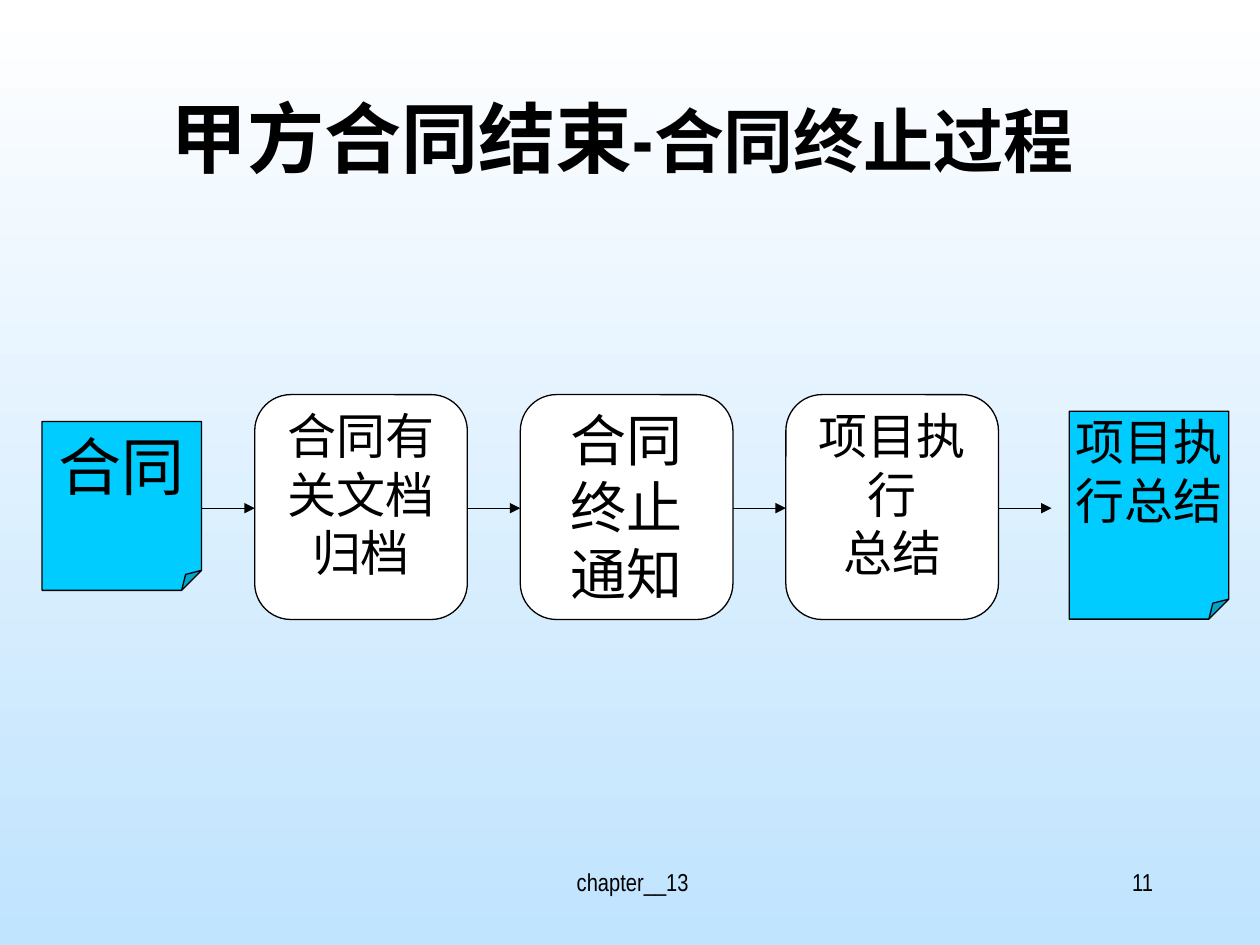
from lxml.etree import SubElement
from pptx import Presentation
from pptx.dml.color import RGBColor
from pptx.enum.shapes import MSO_CONNECTOR, MSO_SHAPE
from pptx.enum.text import MSO_ANCHOR, MSO_AUTO_SIZE, PP_ALIGN
from pptx.oxml.ns import qn
from pptx.util import Pt

# Content
TITLE = [("甲方合同结束-", "head", "label"), ("合同终止过程 ", "sub", "asian")]
# text lines, type size, side inset
STEPS = [
    (["合同有关文档归档"], "step", 7.2),
    (["合同终止通知"], "large", 7.2),
    (["项目执行", "总结"], "step", 0),
]
# text lines, type size, top inset, box
NOTES = [
    (["合同"], "note", 3.6, (24, 240.9, 91.2, 96.5)),
    (["项目执行总结"], "step", 0, (611, 235, 91.2, 118.8)),
]
# text, alignment, box
FOOT = [
    (" chapter__13", PP_ALIGN.CENTER, (246, 492, 228, 36)),
    ("11", PP_ALIGN.RIGHT, (516, 492, 150, 36)),
]


class Theme:
    size = {"head": 44, "sub": 40, "note": 36, "large": 32, "step": 28, "foot": 14}
    font = {"label": "Arial Narrow", "body": "Times New Roman",
            "asian": "Noto Sans CJK SC"}
    ink = RGBColor(0, 0, 0)
    white = RGBColor(255, 255, 255)
    sky = RGBColor(0xC0, 0xE3, 0xFE)
    cyan = RGBColor(0, 0xCC, 0xFF)
    line = 0.75


# Layout
LEFT, TOP, WIDE, HIGH, PITCH = 145.6, 225.5, 121.5, 128.5, 151.75
GAP = PITCH - WIDE
MID = 290.4


def pts(box):
    return [Pt(v) for v in box]


def style(font, size, face):
    font.size = Pt(Theme.size[size])
    font.name = Theme.font[face]
    font.color.rgb = Theme.ink


def set_asian(props):
    SubElement(props, qn("a:ea")).set("typeface", Theme.font["asian"])


def set_frame(frame, side, edge):
    frame.word_wrap = True
    frame.auto_size = MSO_AUTO_SIZE.NONE
    frame.vertical_anchor = MSO_ANCHOR.TOP
    frame.margin_left = frame.margin_right = Pt(side)
    frame.margin_top = frame.margin_bottom = Pt(edge)


def write(frame, lines, size, face, align):
    frame.text = "\n".join(lines)
    for para in frame.paragraphs:
        para.alignment = align
        style(para.font, size, face)
        set_asian(para._p.pPr.find(qn("a:defRPr")))


def add_box(slide, kind, box, fill, lines, size, side, edge):
    shape = slide.shapes.add_shape(kind, *pts(box))
    shape.shadow.inherit = False
    shape.fill.solid()
    shape.fill.fore_color.rgb = fill
    shape.line.color.rgb = Theme.ink
    shape.line.width = Pt(Theme.line)
    set_frame(shape.text_frame, side, edge)
    write(shape.text_frame, lines, size, "body", PP_ALIGN.CENTER)
    return shape


def set_fold(shape, part):
    geom = shape._element.spPr.find(qn("a:prstGeom"))
    guide = SubElement(geom.find(qn("a:avLst")), qn("a:gd"))
    guide.set("name", "adj")
    guide.set("fmla", f"val {round(part * 100000)}")


def add_arrow(slide, left):
    ends = pts((left, MID, left + GAP, MID))
    arrow = slide.shapes.add_connector(MSO_CONNECTOR.STRAIGHT, *ends)
    arrow.line.color.rgb = Theme.ink
    arrow.line.width = Pt(Theme.line)
    props = arrow._element.spPr
    SubElement(props.find(qn("a:ln")), qn("a:tailEnd")).set("type", "triangle")
    SubElement(props, qn("a:effectLst"))


def main():
    deck = Presentation()
    deck.slide_width, deck.slide_height = Pt(720), Pt(540)
    slide = deck.slides.add_slide(deck.slide_layouts[5])

    # Background
    back = slide.background.fill
    back.gradient()
    back.gradient_angle = 270
    for stop, color in zip(back.gradient_stops, (Theme.white, Theme.sky)):
        stop.color.rgb = color

    # Title
    title = slide.shapes.title
    title.left, title.top, title.width, title.height = pts((54, 48, 612, 90))
    set_frame(title.text_frame, 7.2, 3.6)
    para = title.text_frame.paragraphs[0]
    para.alignment = PP_ALIGN.CENTER
    for text, size, face in TITLE:
        run = para.add_run()
        run.text = text
        style(run.font, size, face)
        run.font.bold = True
        set_asian(run._r.rPr)

    # Process steps
    for i, (lines, size, side) in enumerate(STEPS):
        box = (LEFT + i * PITCH, TOP, WIDE, HIGH)
        shape = add_box(slide, MSO_SHAPE.ROUNDED_RECTANGLE, box, Theme.white,
                        lines, size, side, 0)
        shape.adjustments[0] = 0.17

    # Input and output documents
    for lines, size, edge, box in NOTES:
        shape = add_box(slide, MSO_SHAPE.FOLDED_CORNER, box, Theme.cyan,
                        lines, size, 0, edge)
        set_fold(shape, 0.125)

    # Arrows
    for i in range(len(STEPS) + 1):
        add_arrow(slide, LEFT - GAP + i * PITCH)

    # Footer
    for text, align, box in FOOT:
        frame = slide.shapes.add_textbox(*pts(box)).text_frame
        set_frame(frame, 7.2, 3.6)
        write(frame, [text], "foot", "label", align)

    deck.save("out.pptx")


if __name__ == "__main__":
    main()
